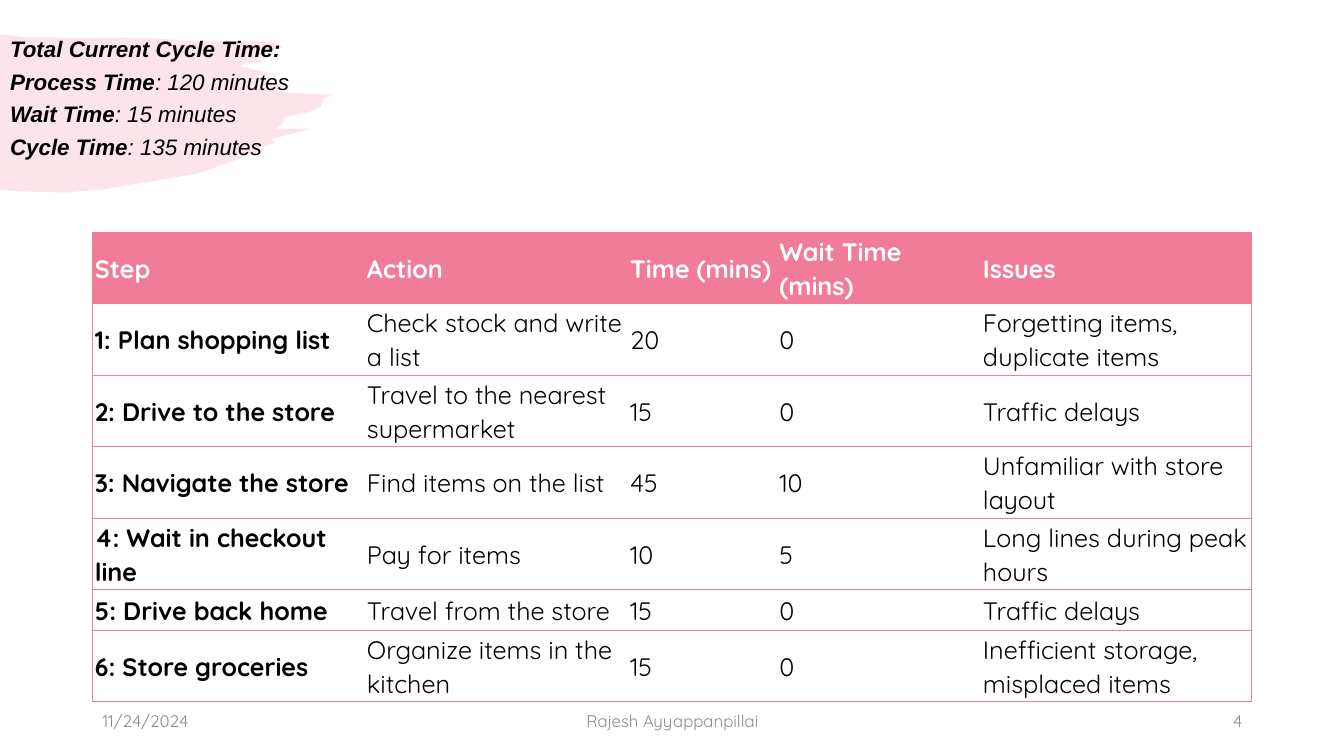
from dataclasses import dataclass

from lxml import etree
from pptx import Presentation
from pptx import util as u
from pptx.dml.color import RGBColor
from pptx.enum import text
from pptx.oxml.ns import qn


@dataclass(frozen=True)
class Theme:
    pink: str = "F07C98"
    ink: str = "000000"
    white: str = "FFFFFF"
    gray: str = "8C8C8C"
    body_font: str = "Quicksand"
    summary_font: str = "Arial"
    summary_size: int = 16
    table_size: int = 18
    footer_size: int = 12


T = Theme()
ALIGN = text.PP_ALIGN


def write(tf, lines, size, color, font=T.body_font, italic=False,
          align=ALIGN.LEFT, spacing=1.0, after=6):
    """Fill a text frame; each line is a list of (words, bold) runs."""
    tf.word_wrap = True
    for i, line in enumerate(lines):
        p = tf.paragraphs[0] if i == 0 else tf.add_paragraph()
        p.alignment = align
        p.line_spacing = spacing
        p.space_before = u.Pt(0)
        p.space_after = u.Pt(after)
        for words, bold in line:
            r = p.add_run()
            r.text = words
            r.font.name = font
            r.font.size = u.Pt(size)
            r.font.bold = bold
            r.font.italic = italic
            r.font.color.rgb = RGBColor.from_string(color)


prs = Presentation()
prs.slide_width, prs.slide_height = u.Inches(13.33), u.Inches(7.5)
s = prs.slides.add_slide(prs.slide_layouts[5])

# Brush stroke: smooth top, ragged right end, rounded bottom
BRUSH = [
    (0.25, 0.37), (1.5, 0.38), (1.94, 0.41), (2.48, 0.41), (2.7, 0.42), (2.8, 0.47),
    (2.53, 0.56), (2.62, 0.62), (2.45, 0.62), (2.38, 0.66), (2.75, 0.74),
    (2.51, 0.75), (2.76, 0.83), (2.9, 0.85), (2.63, 0.88), (2.85, 0.92), (3.3, 0.94),
    (3.21, 0.97), (3.18, 1.06), (3.07, 1.11), (2.83, 1.16), (2.8, 1.23), (2.74, 1.28),
    (3.08, 1.28), (2.69, 1.38), (2.73, 1.42), (2.52, 1.48), (2.63, 1.48),
    (1.97, 1.72), (1.02, 1.88), (0.65, 1.91), (0.23, 1.9), (0, 1.88),
]
fb = s.shapes.build_freeform(u.Inches(0), u.Inches(0.34))
fb.add_line_segments([(u.Inches(x), u.Inches(y)) for x, y in BRUSH], close=True)
brush = fb.convert_to_shape()
brush.shadow.inherit = False
brush.line.fill.background()
brush.fill.solid()
brush.fill.fore_color.rgb = RGBColor.from_string(T.pink)
tint = brush.element.spPr.find(qn("a:solidFill"))[0]
etree.SubElement(tint, qn("a:alpha"), val="20000")

# Cycle time summary, in front of the brush stroke
title = s.shapes.title
title.element.addprevious(brush.element)
title.left, title.top = u.Inches(0), u.Inches(0.33)
title.width, title.height = u.Inches(4.19), u.Inches(1.61)
tf = title.text_frame
tf.auto_size = text.MSO_AUTO_SIZE.NONE
tf.vertical_anchor = text.MSO_ANCHOR.TOP
SUMMARY = [
    [("Total Current Cycle Time:", True)],
    [("Process Time", True), (": 120 minutes", False)],
    [("Wait Time", True), (": 15 minutes", False)],
    [("Cycle Time", True), (": 135 minutes", False)],
]
write(tf, SUMMARY, T.summary_size, T.ink, font=T.summary_font, italic=True, spacing=0.9)

# Process table
ROWS = [
    ("Step", "Action", "Time (mins)", "Wait Time (mins)", "Issues"),
    ("1: Plan shopping list", "Check stock and write a list", "20", "0",
     "Forgetting items, duplicate items"),
    ("2: Drive to the store", "Travel to the nearest supermarket", "15", "0",
     "Traffic delays"),
    ("3: Navigate the store", "Find items on the list", "45", "10",
     "Unfamiliar with store layout"),
    ("4: Wait in checkout line", "Pay for items", "10", "5",
     "Long lines during peak hours"),
    ("5: Drive back home", "Travel from the store", "15", "0", "Traffic delays"),
    ("6: Store groceries", "Organize items in the kitchen", "15", "0",
     "Inefficient storage, misplaced items"),
]
WIDTHS = [2.7, 2.61, 1.48, 2.02, 2.68]
HEIGHTS = [0.4] + [0.71] * 4 + [0.4, 0.71]
table = s.shapes.add_table(len(ROWS), len(WIDTHS), u.Inches(0.92), u.Inches(2.3),
                           u.Inches(sum(WIDTHS)), u.Inches(sum(HEIGHTS))).table
table.horz_banding = False
for col, width in zip(table.columns, WIDTHS):
    col.width = u.Inches(width)
for i, (row, height) in enumerate(zip(ROWS, HEIGHTS)):
    table.rows[i].height = u.Inches(height)
    for j, words in enumerate(row):
        cell = table.cell(i, j)
        cell.margin_left = cell.margin_right = u.Inches(0.02)
        cell.margin_top = cell.margin_bottom = u.Inches(0.02)
        cell.vertical_anchor = text.MSO_ANCHOR.MIDDLE
        header = i == 0
        if header:
            cell.fill.solid()
            cell.fill.fore_color.rgb = RGBColor.from_string(T.pink)
        else:
            cell.fill.background()
        write(cell.text_frame, [[(words, header or j == 0)]], T.table_size,
              T.white if header else T.ink, spacing=1.07, after=8)
        # Rules between rows and around the table, none between columns
        edges = {"lnL": j == 0, "lnR": j == len(row) - 1, "lnT": True, "lnB": True}
        for k, (edge, shown) in enumerate(edges.items()):
            ln = etree.Element(qn("a:" + edge), w=str(u.Pt(0.5)))
            fill = etree.SubElement(ln, qn("a:solidFill" if shown else "a:noFill"))
            if shown:
                etree.SubElement(fill, qn("a:srgbClr"), val=T.pink)
            cell._tc.get_or_add_tcPr().insert(k, ln)

# Footer: date, author, slide number
FOOTER = [
    (0.92, 3, "11/24/2024", ALIGN.LEFT),
    (4.42, 4.5, "Rajesh Ayyappanpillai", ALIGN.CENTER),
    (9.42, 3, "4", ALIGN.RIGHT),
]
for left, width, words, align in FOOTER:
    sp = s.shapes.add_textbox(u.Inches(left), u.Inches(6.95), u.Inches(width), u.Inches(0.4))
    sp.text_frame.vertical_anchor = text.MSO_ANCHOR.MIDDLE
    write(sp.text_frame, [[(words, False)]], T.footer_size, T.gray, align=align)

prs.save("out.pptx")
